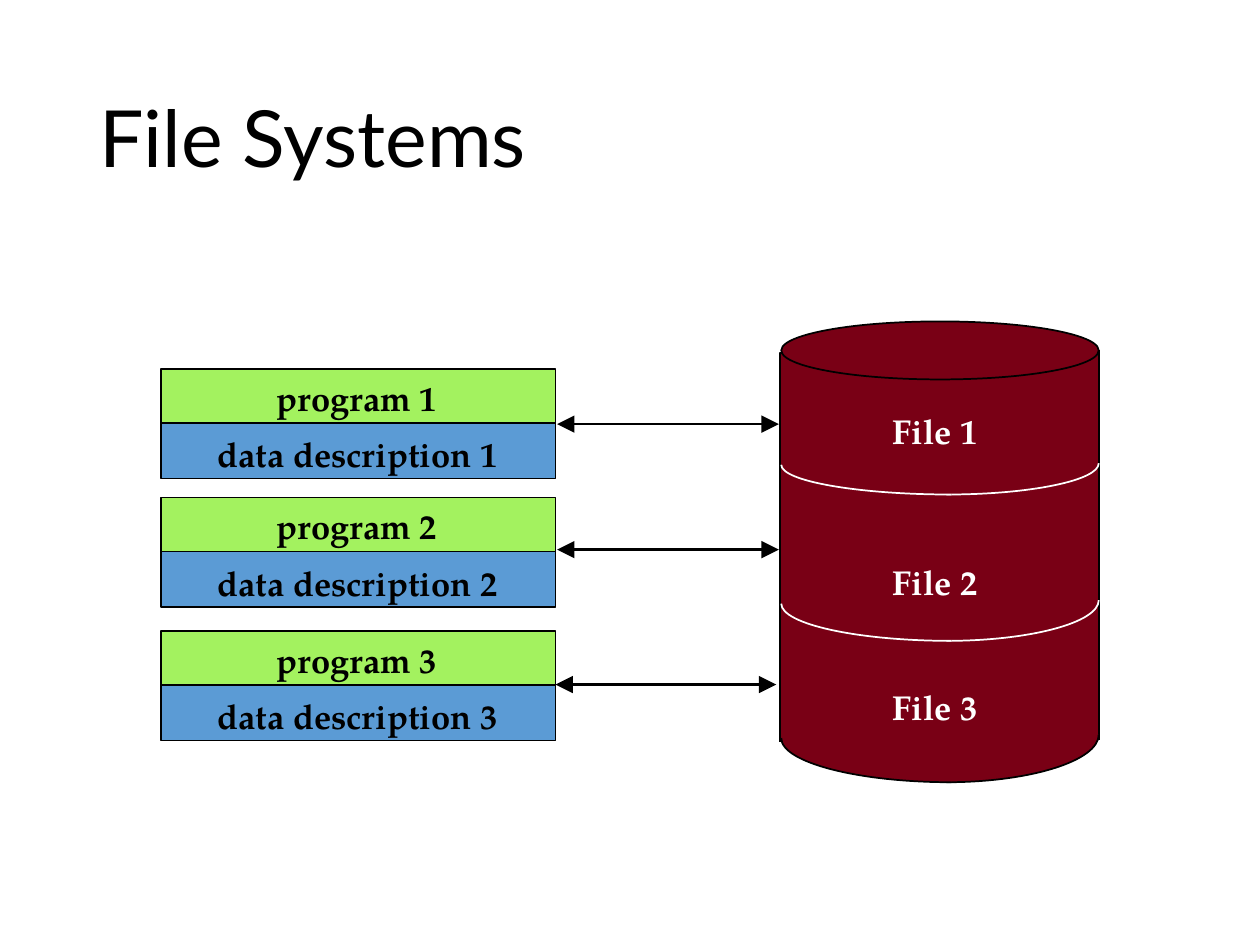
from copy import deepcopy
from dataclasses import dataclass

from pptx import Presentation
from pptx.dml.color import RGBColor
from pptx.enum.shapes import MSO_CONNECTOR, MSO_SHAPE
from pptx.enum.text import MSO_ANCHOR, MSO_AUTO_SIZE
from pptx.oxml.ns import qn
from pptx.util import Cm, Pt


@dataclass(frozen=True)
class Theme:
    black: RGBColor = RGBColor(0x00, 0x00, 0x00)
    white: RGBColor = RGBColor(0xFF, 0xFF, 0xFF)
    program: RGBColor = RGBColor(0xA3, 0xF2, 0x5F)
    description: RGBColor = RGBColor(0x5B, 0x9B, 0xD5)
    drum: RGBColor = RGBColor(0x79, 0x00, 0x15)
    title_font: str = "Lato"
    label_font: str = "TeX Gyre Pagella"
    title_size: float = 45
    label_size: float = 19.7
    outline: float = 1
    arrow: float = 1.5


THEME = Theme()

BAR_LEFT, BAR_WIDTH, BAR_HEIGHT = 3.25, 7.95, 1.12
BAR_STEP = 1.09
PROGRAM_TOPS = (7.44, 10.03, 12.72)
# left end, right end and height of each arrow
ARROWS = ((11.23, 15.7, 8.55), (11.23, 15.7, 11.08), (11.2, 15.65, 13.8))

DRUM_LEFT, DRUM_TOP, DRUM_WIDTH, DRUM_HEIGHT = 15.72, 7.11, 6.43, 7.8
FILE_LEFT = 17.75
FILE_TOPS = (8.15, 11.18, 13.71)

# share of the radius at which a Bezier handle gives a quarter ellipse
HANDLE = 0.55


def style(shape, fill, line):
    shape.shadow.inherit = False
    shape.fill.solid()
    shape.fill.fore_color.rgb = fill
    shape.line.color.rgb = line
    shape.line.width = Pt(THEME.outline)


def add_block(slide, kind, left, top, width, height, fill):
    block = slide.shapes.add_shape(kind, Cm(left), Cm(top), Cm(width), Cm(height))
    style(block, fill, THEME.black)


def add_line(slide, start, end, width, arrows=False):
    line = slide.shapes.add_connector(
        MSO_CONNECTOR.STRAIGHT, *(Cm(value) for value in (*start, *end)))
    line.line.color.rgb = THEME.black
    line.line.width = Pt(width)
    if arrows:
        outline = line.line._get_or_add_ln()
        head = {"type": "triangle", "w": "lg", "len": "lg"}
        for tag in ("a:headEnd", "a:tailEnd"):
            outline.append(outline.makeelement(qn(tag), head))
    properties = line._element.spPr
    properties.append(properties.makeelement(qn("a:effectLst"), {}))


def add_title(slide, text):
    title = slide.shapes.add_textbox(Cm(1.75), Cm(1.02), Cm(21.89), Cm(3.68))
    frame = title.text_frame
    frame.word_wrap = True
    frame.vertical_anchor = MSO_ANCHOR.MIDDLE
    heading = frame.paragraphs[0]
    heading.text = text
    heading.line_spacing = 0.9
    heading.font.name = THEME.title_font
    heading.font.size = Pt(THEME.title_size)
    heading.font.color.rgb = THEME.black


def add_label(slide, text, left, top, width, height, color, spacing=None):
    label = slide.shapes.add_textbox(Cm(left), Cm(top), Cm(width), Cm(height))
    label.text_frame.word_wrap = False
    label.text_frame.auto_size = MSO_AUTO_SIZE.SHAPE_TO_FIT_TEXT
    line = label.text_frame.paragraphs[0]
    line.text = text
    line.line_spacing = spacing
    line.font.name = THEME.label_font
    line.font.size = Pt(THEME.label_size)
    line.font.bold = True
    line.font.color.rgb = color


def add_quarter(slide, center, top, radius, depth, line):
    """Lower quarter ellipse, outlined on its curve only; a negative radius faces left."""
    edge, bottom = center + radius, top + depth
    corners = [(edge, top), (edge, top + HANDLE * depth),
               (center + HANDLE * radius, bottom), (center, bottom), (center, top)]
    start, *rest = [(Cm(x), Cm(y)) for x, y in corners]
    builder = slide.shapes.build_freeform(*start)
    builder.add_line_segments(rest, close=True)
    quarter = builder.convert_to_shape()
    style(quarter, THEME.drum, line)

    wedge = quarter._element.find(".//" + qn("a:path"))
    curve = wedge.makeelement(qn("a:cubicBezTo"), {})
    for segment in list(wedge)[1:4]:
        curve.append(segment[0])
        wedge.remove(segment)
    wedge.insert(1, curve)

    rim = deepcopy(wedge)
    for straight_edge in list(rim)[2:]:
        rim.remove(straight_edge)
    rim.set("fill", "none")
    wedge.set("stroke", "0")
    wedge.addprevious(rim)


def add_band(slide, right_top, left_top, bottom, line):
    add_quarter(slide, 19.08, right_top, 3.07, bottom - right_top, line)
    add_quarter(slide, 19.18, left_top, -3.43, bottom - left_top, line)


def add_program(slide, number, top):
    add_block(slide, MSO_SHAPE.RECTANGLE, BAR_LEFT, top,
              BAR_WIDTH, BAR_HEIGHT, THEME.program)
    add_label(slide, f"program {number}", 5.33, top - 0.05,
              3.76, 1.17, THEME.black, spacing=1.1)
    add_block(slide, MSO_SHAPE.RECTANGLE, BAR_LEFT, top + BAR_STEP,
              BAR_WIDTH, BAR_HEIGHT, THEME.description)
    add_label(slide, f"data description {number}", 4.13, top + 1.17,
              6.2, 1.09, THEME.black)


def add_drum(slide):
    right = DRUM_LEFT + DRUM_WIDTH
    add_line(slide, (right, 7.06), (right, 14.91), THEME.outline)
    add_block(slide, MSO_SHAPE.RECTANGLE, DRUM_LEFT, DRUM_TOP,
              DRUM_WIDTH, DRUM_HEIGHT, THEME.drum)
    add_block(slide, MSO_SHAPE.OVAL, 15.75, 6.48, 6.4, 1.17, THEME.drum)
    add_line(slide, (DRUM_LEFT, DRUM_TOP), (DRUM_LEFT, 14.96), THEME.outline)
    add_band(slide, 14.81, 14.88, 15.77, THEME.black)
    add_band(slide, 9.34, 9.37, 9.97, THEME.white)
    add_band(slide, 12.1, 12.17, 12.92, THEME.white)
    for number, top in enumerate(FILE_TOPS, start=1):
        add_label(slide, f"File {number}", FILE_LEFT, top,
                  2.24, 1.09, THEME.white)


def main():
    deck = Presentation()
    deck.slide_width, deck.slide_height = Cm(25.4), Cm(19.05)
    slide = deck.slides.add_slide(deck.slide_layouts[6])

    add_title(slide, "File Systems")
    for start, end, level in reversed(ARROWS):
        add_line(slide, (start, level), (end, level), THEME.arrow, arrows=True)
    for number, top in enumerate(PROGRAM_TOPS, start=1):
        add_program(slide, number, top)
    add_drum(slide)

    deck.save("out.pptx")


if __name__ == "__main__":
    main()
